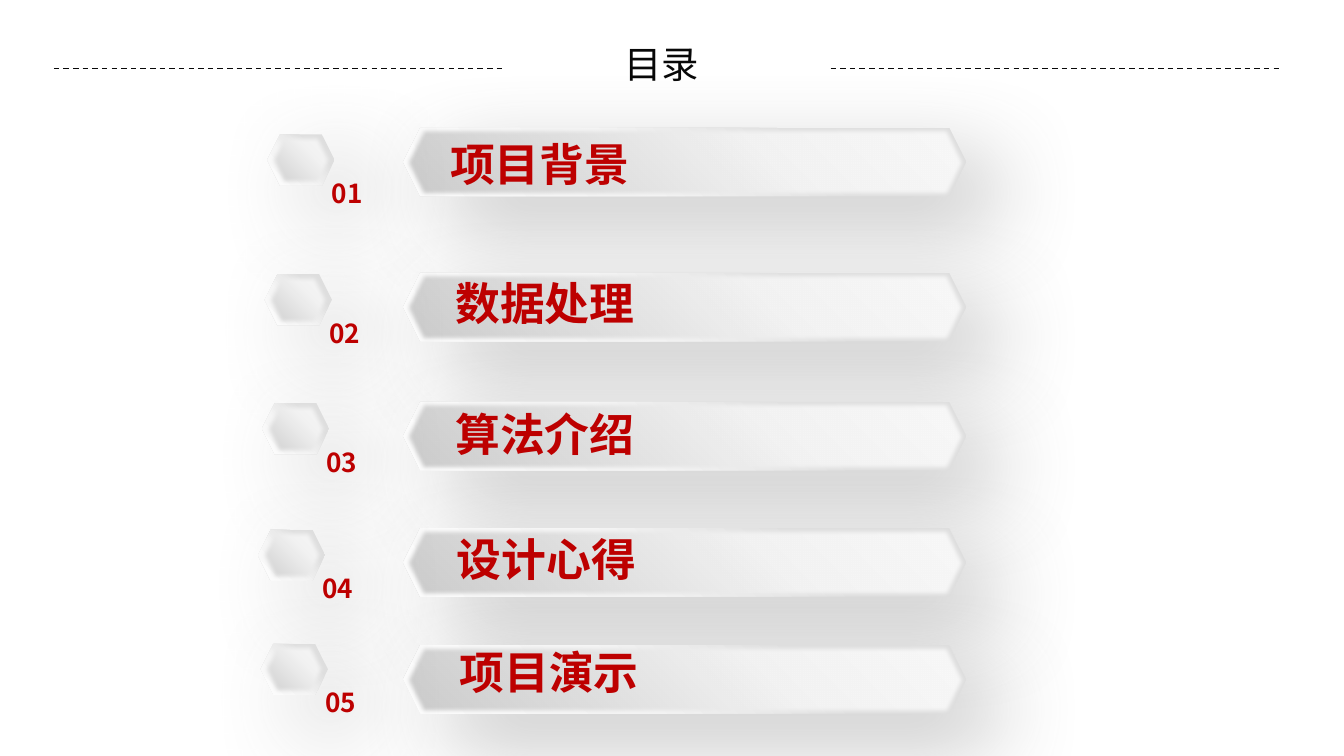
from dataclasses import dataclass

from lxml.etree import SubElement
from pptx import Presentation
from pptx.dml.color import RGBColor
from pptx.enum.dml import MSO_LINE
from pptx.enum.shapes import MSO_CONNECTOR, MSO_SHAPE
from pptx.enum.text import MSO_AUTO_SIZE, PP_ALIGN
from pptx.oxml.ns import qn
from pptx.util import Inches, Pt


@dataclass(frozen=True)
class Theme:
    ink: str = "080808"
    red: str = "BD0000"
    shade: str = "696969"
    rim: tuple = ((1, "DEDEDE"), (30, "E0E0E0"), (61, "F6F6F6"), (100, "FFFFFF"))
    face: tuple = ((0, "CBCBCB"), (32, "DEDEDE"), (64, "F3F3F3"), (100, "F9F9F9"))
    sans: str = "Noto Sans CJK SC"
    latin: str = "Arial"
    head: int = 20
    item: int = 24
    num: int = 14


THEME = Theme()

# label, badge left and top, bar top, label left and top
ROWS = (
    ("项目背景", (1.99, 1.00), 0.95, (2.12, 0.97)),
    ("数据处理", (1.97, 2.04), 2.03, (2.16, 2.00)),
    ("算法介绍", (1.95, 3.00), 2.99, (2.16, 2.98)),
    ("设计心得", (1.92, 3.94), 3.93, (2.17, 3.91)),
    ("项目演示", (1.94, 4.79), 4.80, (2.19, 4.75)),
)


def apply(obj, form):
    for name, value in form.items():
        setattr(obj, name, value)


def add_tag(parent, tag, **attrs):
    return SubElement(parent, qn(tag), {k: str(v) for k, v in attrs.items()})


def add_hex(group, box, stops, angle):
    """Add a flipped hexagon with a gradient; angle runs clockwise."""
    shape = group.shapes.add_shape(MSO_SHAPE.HEXAGON, *map(Inches, box))
    shape.shadow.inherit = False
    shape.line.fill.background()
    shape.fill.gradient()
    shape.fill.gradient_angle = 360 - angle
    props = shape._element.spPr
    props.find(qn("a:xfrm")).set("flipV", "1")
    ramp = props.find(qn("a:gradFill")).find(qn("a:gsLst"))
    for stop in list(ramp):
        ramp.remove(stop)
    for pos, color in stops:
        add_tag(add_tag(ramp, "a:gs", pos=pos * 1000), "a:srgbClr", val=color)
    return props.find(qn("a:effectLst"))


def add_key(slide, box):
    """Add a raised key: a shadowed rim under a soft-edged face."""
    group = slide.shapes.add_group_shape()
    rim = add_hex(group, box, THEME.rim, 225)
    shadow = add_tag(rim, "a:outerShdw", blurRad=Pt(49), dist=Pt(25),
                     dir=40 * 60000, algn="tl", rotWithShape=0)
    color = add_tag(shadow, "a:srgbClr", val=THEME.shade)
    add_tag(color, "a:alpha", val=40000)
    face = add_hex(group, box, THEME.face, 45)
    add_tag(face, "a:softEdge", rad=Pt(2.5))


def add_text(slide, box, text, size, color, name, bold=False,
             align=PP_ALIGN.CENTER, inset=None):
    frame = slide.shapes.add_textbox(*map(Inches, box)).text_frame
    apply(frame, {"word_wrap": True, "auto_size": MSO_AUTO_SIZE.SHAPE_TO_FIT_TEXT})
    if inset is not None:
        sides = ("left", "top", "right", "bottom")
        apply(frame, {f"margin_{side}": Inches(inset) for side in sides})
    para = frame.paragraphs[0]
    para.alignment = align
    run = para.add_run()
    run.text = text
    apply(run.font, {"size": Pt(size), "name": name, "bold": bold})
    run.font.color.rgb = RGBColor.from_string(color)
    add_tag(run.font._element, "a:ea", typeface=name)


def add_rule(slide, left, right, top):
    rule = slide.shapes.add_connector(
        MSO_CONNECTOR.STRAIGHT, *map(Inches, (left, top, right, top)))
    apply(rule.line, {"width": Pt(0.75), "dash_style": MSO_LINE.DASH})
    rule.line.color.rgb = RGBColor.from_string(THEME.ink)
    add_tag(rule._element.spPr, "a:effectLst")


def add_head(slide):
    add_text(slide, (4.06, 0.26, 1.73, 0.44), "目录",
             THEME.head, THEME.ink, THEME.sans)
    for left in (0.4, 6.18):
        add_rule(slide, left, left + 3.34, 0.51)


def add_badge(slide, left, top, num):
    add_key(slide, (left, top, 0.5, 0.38))
    add_text(slide, (left + 0.48, top + 0.32, 0.36, 0.24), f"{num:02}",
             THEME.num, THEME.red, THEME.sans, True, PP_ALIGN.LEFT, 0)


def main():
    deck = Presentation()
    wide = Inches(10)
    apply(deck, {"slide_width": wide, "slide_height": wide * 9 // 16})
    slide = deck.slides.add_slide(deck.slide_layouts[6])
    add_head(slide)
    for _, _, top, _ in ROWS:
        add_key(slide, (3, top, 4.19, 0.51))
    for num, (_, spot, _, _) in enumerate(ROWS, 1):
        add_badge(slide, *spot, num)
    for label, _, _, spot in ROWS:
        add_text(slide, (*spot, 3.79, 0.5), label,
                 THEME.item, THEME.red, THEME.latin, True)
    deck.save("out.pptx")


if __name__ == "__main__":
    main()
